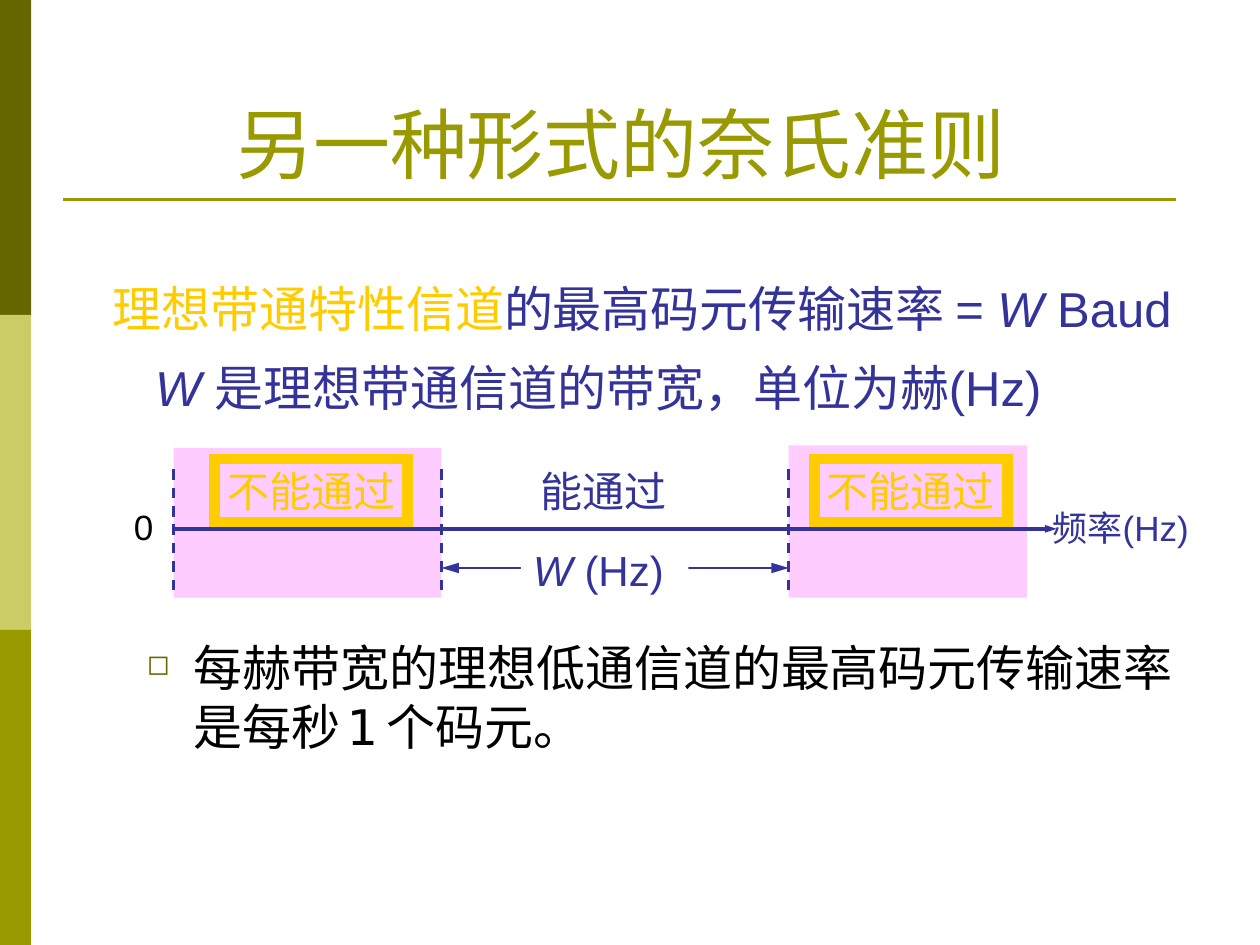
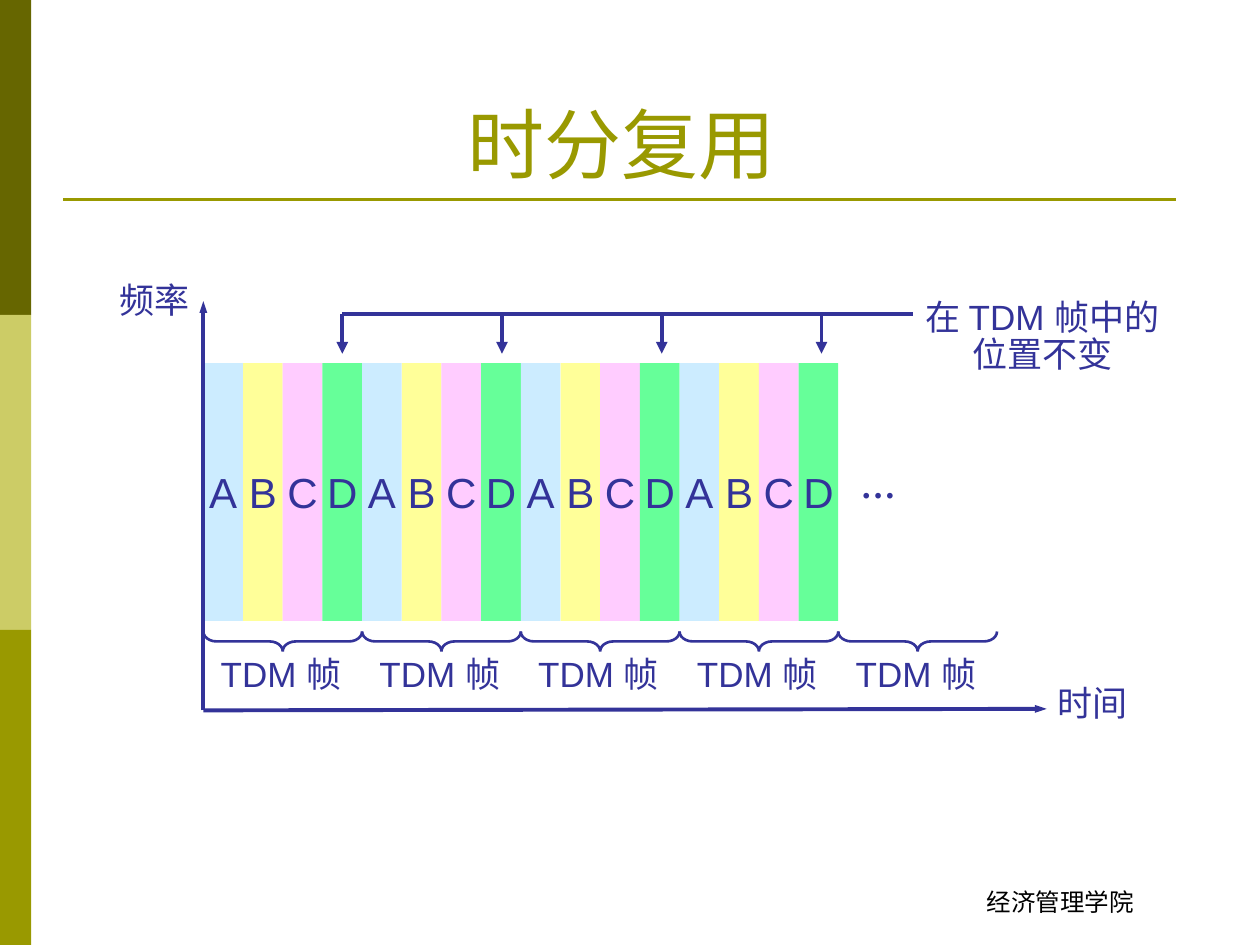
from dataclasses import dataclass

from lxml.etree import SubElement
from pptx import Presentation
from pptx.dml.color import RGBColor
from pptx.enum.dml import MSO_LINE
from pptx.enum.shapes import MSO_CONNECTOR, MSO_SHAPE
from pptx.enum.text import MSO_ANCHOR, MSO_AUTO_SIZE, PP_ALIGN
from pptx.oxml.ns import qn
from pptx.util import Cm, Pt


@dataclass(frozen=True)
class Theme:
    olive: str = "999900"
    dark_olive: str = "666600"
    light_olive: str = "CCCC66"
    navy: str = "333399"
    gold: str = "FFCC00"
    pink: str = "FFCCFF"
    blue: str = "CCECFF"
    yellow: str = "FFFF99"
    green: str = "66FF99"
    black: str = "000000"
    white: str = "FFFFFF"
    serif: str = "Times New Roman"
    sans: str = "Arial"
    label: str = "Karla"
    body: str = "DejaVu Sans"
    title_size: int = 44
    text_size: int = 28
    mark_size: int = 24
    label_size: int = 20
    footer_size: int = 14
    thin: float = 1.5
    axis: float = 2.25
    frame: float = 6


THEME = Theme()


def write_text(shape, *paragraphs, size=THEME.label_size, font=THEME.sans, color=THEME.navy,
               align=PP_ALIGN.LEFT, anchor=MSO_ANCHOR.TOP, wrap=False, grow=False,
               spacing=None, before=None):
    frame = shape.text_frame
    frame.word_wrap = wrap
    frame.auto_size = MSO_AUTO_SIZE.SHAPE_TO_FIT_TEXT if grow else MSO_AUTO_SIZE.NONE
    frame.vertical_anchor = anchor
    for index, runs in enumerate(paragraphs):
        paragraph = frame.add_paragraph() if index else frame.paragraphs[0]
        paragraph.alignment = align
        if spacing:
            paragraph.line_spacing = spacing
        if before is not None:
            paragraph.space_before = Pt(before)
        for text, style in [(runs, {})] if isinstance(runs, str) else runs:
            run = paragraph.add_run()
            run.text = text
            run.font.size = Pt(style.get("size", size))
            run.font.name = style.get("font", font)
            run.font.bold = style.get("bold", False)
            run.font.italic = style.get("italic", False)
            run.font.color.rgb = RGBColor.from_string(style.get("color", color))
    return shape


def add_text(slide, box, *paragraphs, grow=True, **text_format):
    shape = slide.shapes.add_textbox(*map(Cm, box))
    return write_text(shape, *paragraphs, grow=grow, **text_format)


def add_block(slide, box, fill=None, line=None, width=THEME.thin, kind=MSO_SHAPE.RECTANGLE):
    shape = slide.shapes.add_shape(kind, *map(Cm, box))
    shape.shadow.inherit = False
    if fill:
        shape.fill.solid()
        shape.fill.fore_color.rgb = RGBColor.from_string(fill)
    else:
        shape.fill.background()
    if line:
        shape.line.color.rgb = RGBColor.from_string(line)
        shape.line.width = Pt(width)
        SubElement(shape.element.spPr.find(qn("a:ln")), qn("a:miter"), lim="800000")
    else:
        shape.line.fill.background()
    return shape


def add_line(slide, start, end, color=THEME.navy, width=THEME.thin, dash=None, arrows=(),
             arrow_width="med", arrow_length="med"):
    connector = slide.shapes.add_connector(MSO_CONNECTOR.STRAIGHT, *map(Cm, (*start, *end)))
    connector.line.color.rgb = RGBColor.from_string(color)
    connector.line.width = Pt(width)
    if dash:
        connector.line.dash_style = dash
    properties = connector.element.spPr
    for arrow in arrows:
        SubElement(properties.find(qn("a:ln")), qn(f"a:{arrow}"), type="triangle",
                   w=arrow_width, len=arrow_length)
    SubElement(properties, qn("a:effectLst"))
    return connector


def add_axis(slide, start, end):
    add_line(slide, start, end, width=THEME.axis, arrows=("tailEnd",), arrow_width="sm")


def add_titled_slide(presentation, title):
    slide = presentation.slides.add_slide(presentation.slide_layouts[5])
    band_height = 6.35
    for index, color in enumerate((THEME.dark_olive, THEME.light_olive, THEME.olive)):
        add_block(slide, (0, index * band_height, 0.63, band_height), fill=color)
    add_line(slide, (1.27, 4.02), (23.7, 4.02), color=THEME.olive)
    placeholder = slide.shapes.title
    placeholder.left, placeholder.top = Cm(1.27), Cm(0.76)
    placeholder.width, placeholder.height = Cm(22.86), Cm(3.18)
    write_text(placeholder, title, size=THEME.title_size, font=THEME.serif, color=THEME.olive,
               align=PP_ALIGN.CENTER, anchor=MSO_ANCHOR.BOTTOM, wrap=True)
    return slide


def add_bullet(slide, box, runs):
    shape = add_text(slide, box, runs, size=THEME.text_size, font=THEME.body,
                     color=THEME.black, wrap=True, grow=False, before=7)
    properties = shape.text_frame.paragraphs[0]._p.get_or_add_pPr()
    properties.set("marL", str(Cm(0.95)))
    properties.set("indent", str(Cm(-0.95)))
    bullet_color = SubElement(properties, qn("a:buClr"))
    SubElement(bullet_color, qn("a:srgbClr"), val=THEME.dark_olive)
    SubElement(properties, qn("a:buSzPct"), val="57000")
    SubElement(properties, qn("a:buChar"), char="◻")


def add_channel(slide, box):
    left, top, width, height = box
    pass_start, pass_end = left + 5.4, left + 12.4
    axis_y, span_y = top + 1.68, top + 2.47
    for band_left, band_top, band_width in ((left, top + 0.05, 5.4), (pass_end, top, 4.8)):
        add_block(slide, (band_left, band_top, band_width, top + height - band_top),
                  fill=THEME.pink)
    add_axis(slide, (left, axis_y), (left + width, axis_y))
    for label_left in (left + 0.83, left + 12.92):
        blocked = add_block(slide, (label_left, top + 0.27, 3.89, 1.27),
                            line=THEME.gold, width=THEME.frame)
        write_text(blocked, "不能通过", size=THEME.mark_size, font=THEME.label,
                   color=THEME.gold, grow=True)
    add_text(slide, (left + 7.14, top + 0.27, 3.05, 1.27), "能通过",
             size=THEME.mark_size, font=THEME.label)
    add_text(slide, (left - 1.05, top + 1.08, 0.89, 1.12), "0", color=THEME.black)
    add_text(slide, (left + width - 0.33, top + 1.1, 3.43, 1.12), "频率(Hz)")
    for edge in (left, pass_start, pass_end):
        add_line(slide, (edge, top + 0.48), (edge, top + height - 0.05), dash=MSO_LINE.DASH)
    add_line(slide, (pass_start, span_y), (pass_end, span_y), arrows=("headEnd", "tailEnd"),
             arrow_length="lg")
    bandwidth = add_block(slide, (left + 7, top + 1.87, 3.38, 1.27), fill=THEME.white)
    write_text(bandwidth, [("W ", {"italic": True}), ("(Hz)", {})],
               size=THEME.mark_size, grow=True)


def add_time_slots(slide, box):
    left, top, width, height = box
    slot_width, frame_count = 0.8, 4
    slots = (("A", THEME.blue), ("B", THEME.yellow), ("C", THEME.pink), ("D", THEME.green))
    frame_width = slot_width * len(slots)
    for index in range(frame_count * len(slots)):
        letter, color = slots[index % len(slots)]
        slot = add_block(slide, (left + index * slot_width, top + 1.25, slot_width, 5.2),
                         fill=color)
        write_text(slot, letter, size=THEME.mark_size, align=PP_ALIGN.CENTER,
                   anchor=MSO_ANCHOR.MIDDLE)

    callout_y = top + 0.26
    first_arrow, arrow_step = left + frame_width - slot_width / 2, 3.22
    add_line(slide, (first_arrow, callout_y), (left + 14.3, callout_y), width=THEME.axis)
    for index in range(frame_count):
        arrow_x = first_arrow + index * arrow_step
        add_line(slide, (arrow_x, callout_y), (arrow_x, top + 1.06), width=THEME.axis,
                 arrows=("tailEnd",))
    add_text(slide, (left + 14.14, top - 0.15, 5.56, 1.78), "在 TDM 帧中的", "位置不变",
             align=PP_ALIGN.CENTER, spacing=0.9)

    brace_depth = 0.4
    for index in range(frame_count + 1):
        frame_left = left + index * frame_width
        brace = add_block(slide, (frame_left + (frame_width - brace_depth) / 2,
                                  top + 6.86 - frame_width / 2, brace_depth, frame_width),
                          line=THEME.navy, kind=MSO_SHAPE.LEFT_BRACE)
        brace.adjustments[0] = 0.66
        brace.rotation = 270
        add_text(slide, (frame_left + 0.1, top + 7.06, 3.16, 1.02), "TDM 帧", spacing=0.9)
    add_text(slide, (left + 13, top + 3.15, 1.22, 1.09), [("…", {"bold": True})],
             font=THEME.serif)

    origin = (left, top + height)
    for end in ((left + width, top + height - 0.03), (left, top)):
        add_axis(slide, origin, end)
    for name, name_left, name_top in (("频率", left - 1.94, top - 0.48),
                                      ("时间", left + width - 0.03, top + 7.63)):
        add_text(slide, (name_left, name_top, 1.95, 1.02), name, font=THEME.serif, spacing=0.9)


def build_nyquist_slide(presentation):
    slide = add_titled_slide(presentation, "另一种形式的奈氏准则 ")
    add_channel(slide, (3.5, 8.98, 17.8, 3.07))
    add_bullet(slide, (2.71, 12.73, 21.59, 3.78), [
        ("每赫带宽的理想低通信道的最高码元传输速率是每秒", {}), (" ", {"size": 16}), ("1", {}),
        (" ", {"size": 14, "bold": True}), ("个码元。", {})])
    add_text(slide, (2.02, 5.49, 22.35, 1.45), [
        ("理想带通特性信道", {"font": THEME.label, "color": THEME.gold}),
        ("的最高码元传输速率 = ", {}), ("W", {"italic": True}), (" Baud", {})],
        size=THEME.text_size)
    add_text(slide, (2.88, 7.09, 19.1, 1.45), [
        ("W ", {"italic": True}), ("是理想带通信道的带宽，单位为赫(Hz)", {})],
        size=THEME.text_size)


def build_multiplexing_slide(presentation):
    slide = add_titled_slide(presentation, "时分复用 ")
    add_time_slots(slide, (4.1, 6.07, 17, 8.25))
    add_text(slide, (17.35, 17.32, 8.05, 1.27), "经济管理学院", size=THEME.footer_size,
             font=THEME.label, color=THEME.black, align=PP_ALIGN.CENTER,
             anchor=MSO_ANCHOR.BOTTOM, wrap=True, grow=False)


def main():
    presentation = Presentation()
    presentation.slide_width, presentation.slide_height = Cm(25.4), Cm(19.05)
    build_nyquist_slide(presentation)
    build_multiplexing_slide(presentation)
    presentation.save("out.pptx")


if __name__ == "__main__":
    main()
